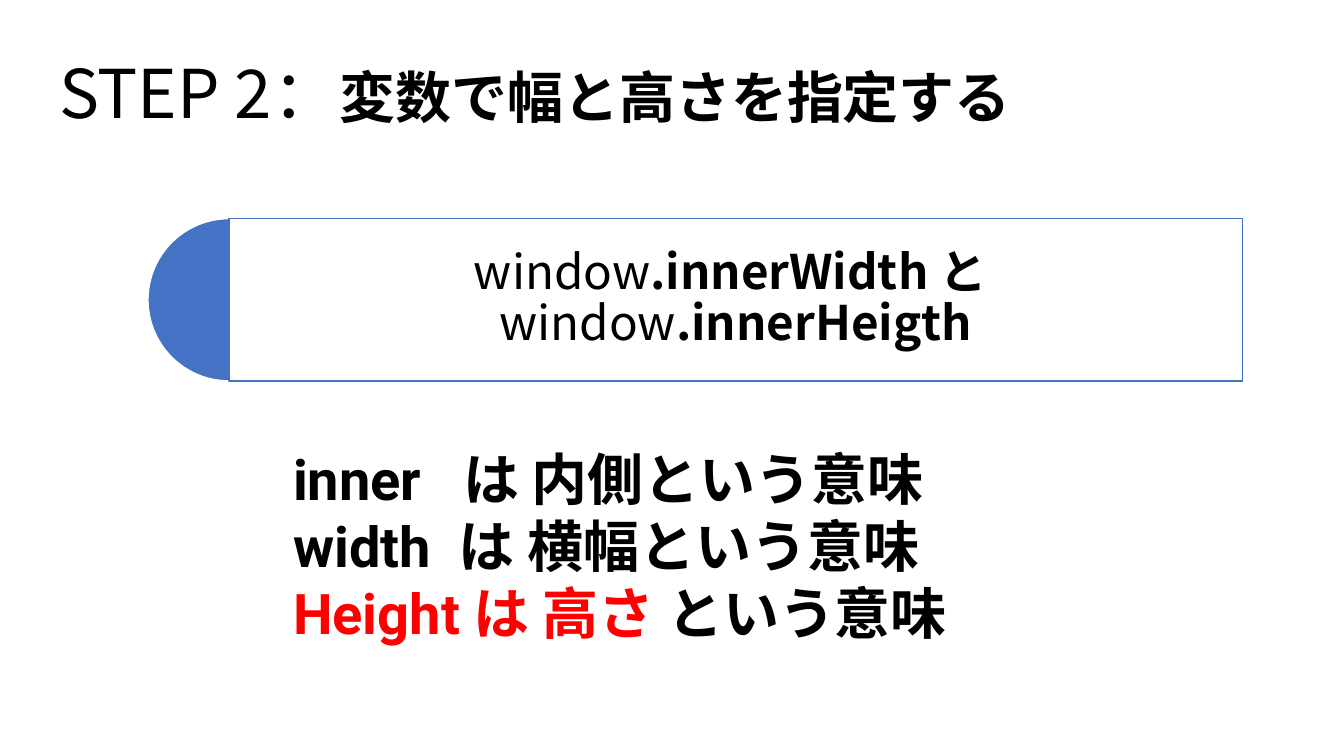
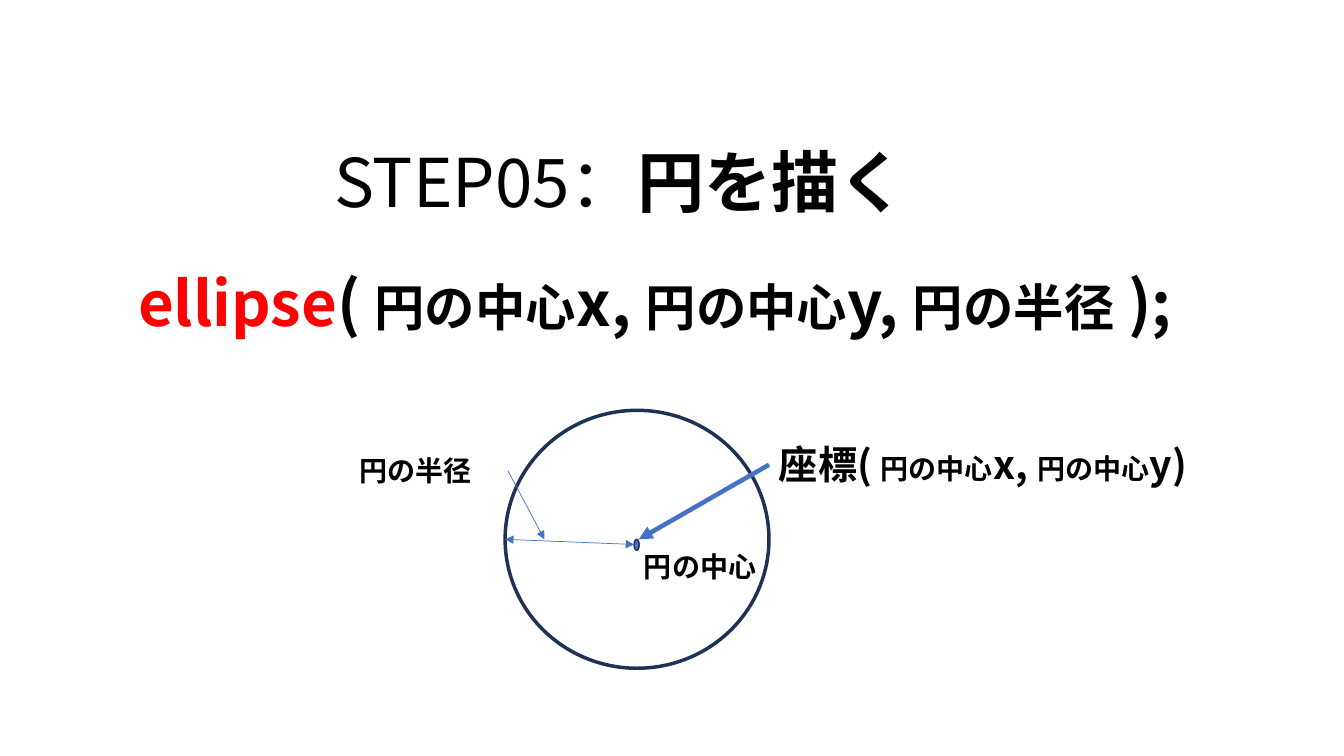
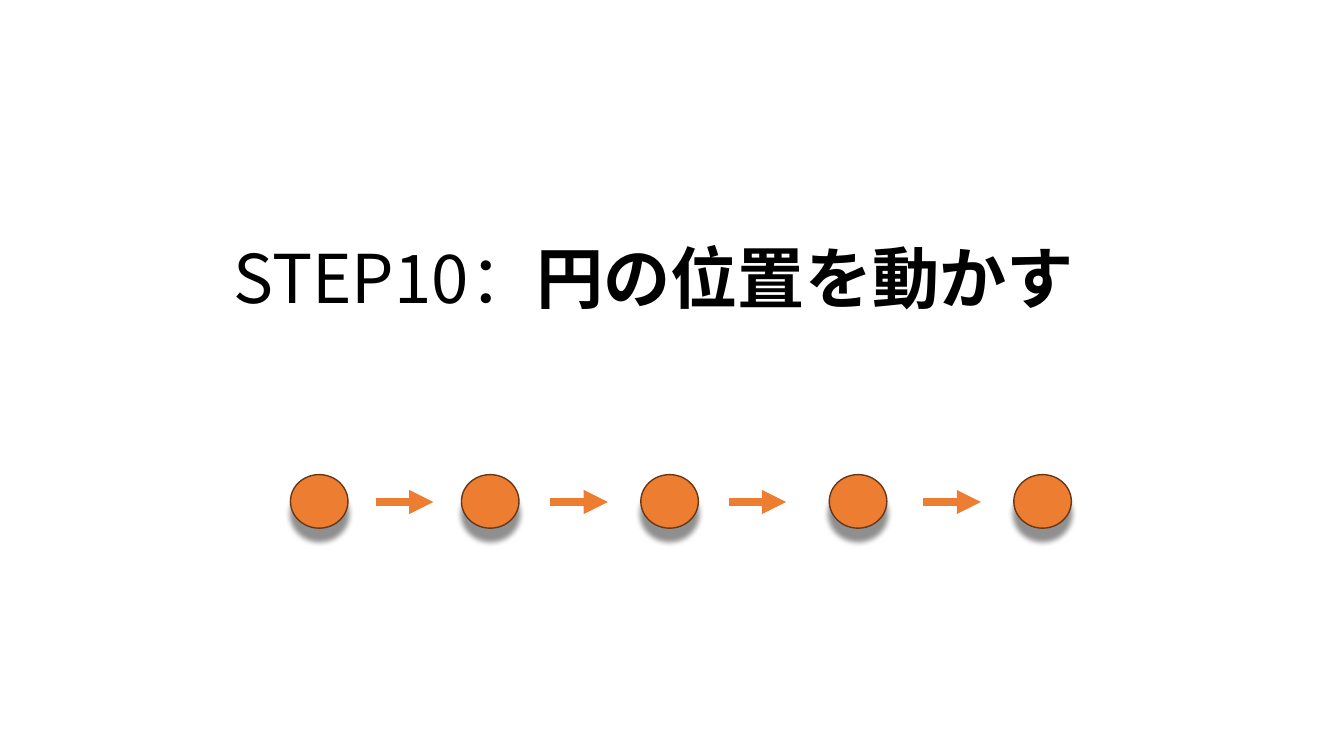
from lxml.etree import SubElement
from pptx import Presentation
from pptx.dml.color import RGBColor
from pptx.enum.shapes import MSO_CONNECTOR, MSO_SHAPE
from pptx.enum.text import MSO_ANCHOR, MSO_AUTO_SIZE, PP_ALIGN
from pptx.oxml.ns import qn
from pptx.util import Cm, Pt

BLACK = RGBColor(0x00, 0x00, 0x00)
WHITE = RGBColor(0xFF, 0xFF, 0xFF)
RED = RGBColor(0xFF, 0x00, 0x00)
BLUE = RGBColor(0x44, 0x72, 0xC4)
NAVY = RGBColor(0x1E, 0x32, 0x56)
ORANGE = RGBColor(0xED, 0x7D, 0x31)
BROWN = RGBColor(0x68, 0x37, 0x15)
SANS = "Noto Sans CJK JP"
ROBOTO = "Roboto"
TITLE_SIZE = 48


def write(tf, lines, font=SANS, auto_size=MSO_AUTO_SIZE.SHAPE_TO_FIT_TEXT):
    tf.word_wrap = True
    tf.auto_size = auto_size
    for i, runs in enumerate(lines):
        p = tf.add_paragraph() if i else tf.paragraphs[0]
        for text, size, bold, color in runs:
            r = p.add_run()
            r.text = text
            r.font.size = Pt(size)
            r.font.bold = bold
            r.font.color.rgb = color
            r.font.name = SANS if not bold else font
            SubElement(r._r.get_or_add_rPr(), qn("a:ea"), typeface=SANS)


def arrow(s, x1, y1, x2, y2, color, width, ends=("tailEnd",)):
    c = s.shapes.add_connector(MSO_CONNECTOR.STRAIGHT, Cm(x1), Cm(y1), Cm(x2), Cm(y2))
    c.line.color.rgb = color
    c.line.width = Pt(width)
    for end in ends:
        SubElement(c.line._get_or_add_ln(), qn("a:" + end), type="triangle")
    SubElement(c._element.spPr, qn("a:effectLst"))


prs = Presentation()
prs.slide_width = Cm(33.87)
prs.slide_height = Cm(19.05)

titles = [
    ("STEP 2：", "変数で幅と高さを指定する", 40, ROBOTO, 1.24, 1.17, 29.57),
    ("STEP05：", "円を描く", TITLE_SIZE, SANS, 8.18, 3.4, 18.69),
    ("STEP10：", "円の位置を動かす", TITLE_SIZE, SANS, 5.64, 5.84, 23.27),
]
slides = []
for step, name, size, font, x, y, w in titles:
    s = prs.slides.add_slide(prs.slide_layouts[6])
    tb = s.shapes.add_textbox(Cm(x), Cm(y), Cm(w), Cm(2.31))
    write(tb.text_frame, [[(step, TITLE_SIZE, False, BLACK), (name, size, True, BLACK)]], font)
    slides.append(s)
size_slide, circle_slide, move_slide = slides

s = size_slide
pie = s.shapes.add_shape(MSO_SHAPE.PIE, Cm(3.73), Cm(5.51), Cm(4.09), Cm(4.09))
pie.adjustments[0] = 54
pie.adjustments[1] = 162
panel = s.shapes.add_shape(MSO_SHAPE.RECTANGLE, Cm(5.77), Cm(5.51), Cm(25.55), Cm(4.09))
for sp, fill, line in [(pie, BLUE, WHITE), (panel, WHITE, BLUE)]:
    sp.shadow.inherit = False
    sp.fill.solid()
    sp.fill.fore_color.rgb = fill
    sp.line.color.rgb = line
    sp.line.width = Pt(1)
SubElement(panel._element.spPr.find(".//" + qn("a:srgbClr")), qn("a:alpha"), val="90000")

tf = panel.text_frame
tf.margin_left = tf.margin_right = tf.margin_top = tf.margin_bottom = Cm(0.36)
tf.vertical_anchor = MSO_ANCHOR.MIDDLE
write(tf, [[
    ("window", 34, False, BLACK),
    (".innerWidth と  ", 34, True, BLACK),
    ("window", 34, False, BLACK),
    (".innerHeigth", 34, True, BLACK),
]], auto_size=MSO_AUTO_SIZE.NONE)
p = tf.paragraphs[0]
p.alignment = PP_ALIGN.CENTER
p.line_spacing = 0.9

tb = s.shapes.add_textbox(Cm(7.14), Cm(11.07), Cm(21.84), Cm(5.38))
write(tb.text_frame, [
    [("inner   は 内側という意味", 40, True, BLACK)],
    [("width  は 横幅という意味", 40, True, BLACK)],
    [("Height は 高さ ", 40, True, RED), ("という意味", 40, True, BLACK)],
], ROBOTO)

s = circle_slide
circle = s.shapes.add_shape(MSO_SHAPE.OVAL, Cm(12.73), Cm(10.34), Cm(6.65), Cm(6.5))
circle.fill.background()
center = s.shapes.add_shape(MSO_SHAPE.OVAL, Cm(15.98), Cm(13.59), Cm(0.13), Cm(0.28))
center.fill.solid()
center.fill.fore_color.rgb = BLUE
for sp, width in [(circle, 2.5), (center, 1)]:
    sp.shadow.inherit = False
    sp.line.color.rgb = NAVY
    sp.line.width = Pt(width)

arrow(s, 19.38, 11.71, 16.1, 13.59, BLUE, 3.25)
arrow(s, 12.73, 13.59, 15.98, 13.72, BLUE, 0.5, ("headEnd", "tailEnd"))
arrow(s, 12.8, 11.86, 13.72, 13.59, BLUE, 0.5)

labels = [
    (3.23, 6.55, 28.58, 2.13, [
        ("ellipse", 44, RED), ("( ", 44, BLACK), ("円の中心", 36, BLACK),
        ("x, ", 44, BLACK), ("円の中心", 36, BLACK), ("y, ", 44, BLACK),
        ("円の半径", 36, BLACK), (" );", 44, BLACK),
    ]),
    (19.38, 10.97, 11.35, 1.45, [
        ("座標( ", 28, BLACK), ("円の中心", 20, BLACK), ("x, ", 28, BLACK),
        ("円の中心", 20, BLACK), ("y)", 28, BLACK),
    ]),
    (8.81, 11.3, 3.97, 1.12, [("円の半径", 20, BLACK)]),
    (15.98, 13.72, 3.97, 1.12, [("円の中心", 20, BLACK)]),
]
for x, y, w, h, runs in labels:
    tb = s.shapes.add_textbox(Cm(x), Cm(y), Cm(w), Cm(h))
    write(tb.text_frame, [[(text, size, True, color) for text, size, color in runs]])

s = move_slide
for x in (9.47, 13.87, 18.36, 23.27):
    arrow(s, x, 12.65, x + 1.45, 12.65, ORANGE, 5.75)
for x in (7.32, 11.63, 16.15, 20.9, 25.55):
    ball = s.shapes.add_shape(MSO_SHAPE.OVAL, Cm(x), Cm(11.96), Cm(1.45), Cm(1.35))
    ball.fill.solid()
    ball.fill.fore_color.rgb = ORANGE
    ball.line.color.rgb = BROWN
    ball.line.width = Pt(1)
    ball.shadow.inherit = False
    effects = ball._element.spPr.find(qn("a:effectLst"))
    shadow = SubElement(effects, qn("a:outerShdw"), blurRad=str(Pt(4)), dist=str(Pt(9)),
                        dir="5400000", algn="ctr", rotWithShape="0")
    color = SubElement(shadow, qn("a:srgbClr"), val=str(BLACK))
    SubElement(color, qn("a:alpha"), val="43000")

prs.save("out.pptx")
